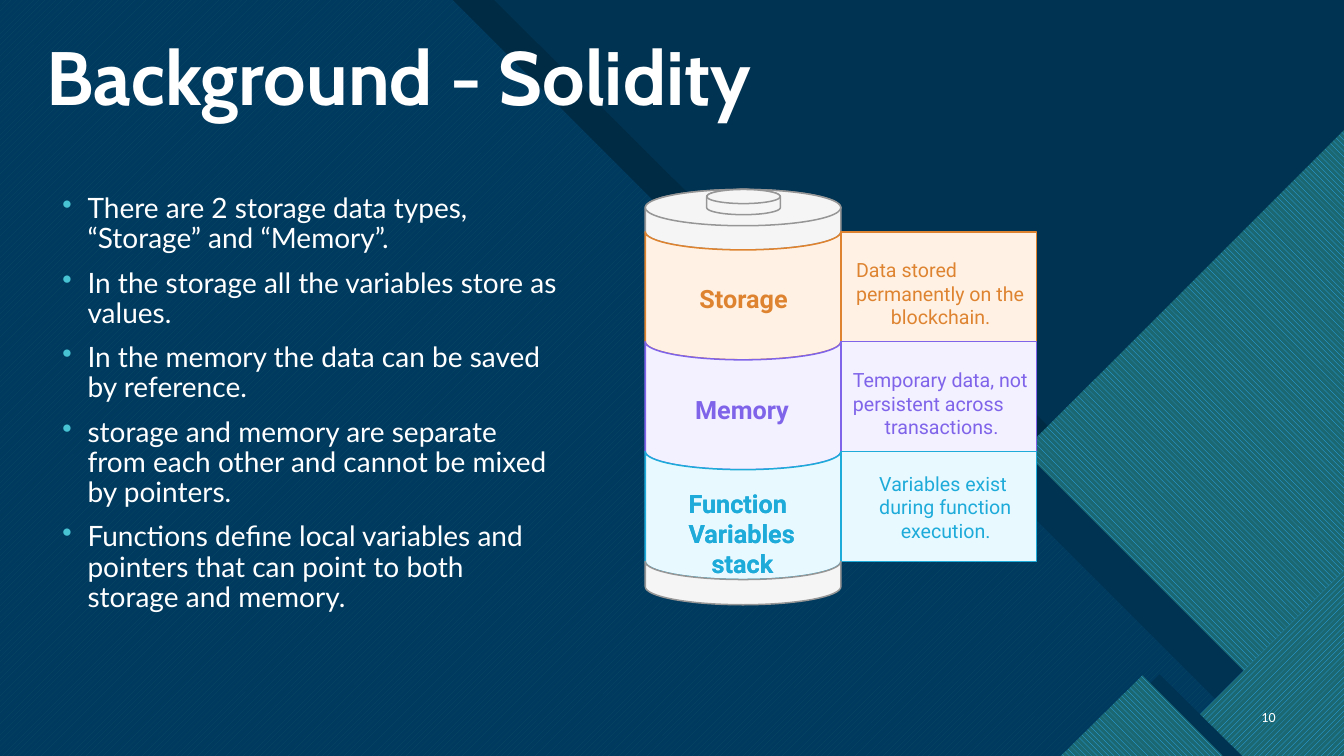
from dataclasses import dataclass
from math import cos, pi, radians, sin

from lxml import etree
from pptx import Presentation
from pptx.dml.color import RGBColor
from pptx.enum.dml import MSO_PATTERN
from pptx.enum.shapes import MSO_SHAPE
from pptx.enum.text import MSO_ANCHOR, PP_ALIGN
from pptx.oxml.ns import qn
from pptx.util import Inches, Pt

RECTANGLE, OVAL = MSO_SHAPE.RECTANGLE, MSO_SHAPE.OVAL
UPWARD = MSO_PATTERN.WIDE_UPWARD_DIAGONAL
DOWNWARD = MSO_PATTERN.WIDE_DOWNWARD_DIAGONAL
TOP, MIDDLE, BOTTOM = MSO_ANCHOR.TOP, MSO_ANCHOR.MIDDLE, MSO_ANCHOR.BOTTOM
LEFT, CENTER, RIGHT = PP_ALIGN.LEFT, PP_ALIGN.CENTER, PP_ALIGN.RIGHT


@dataclass(frozen=True)
class Theme:
    navy: str = "003352"
    black: str = "000000"
    white: str = "FFFFFF"
    aqua: str = "47C3D3"
    blue: str = "0065A4"
    sky: str = "2FAFFF"
    teal: str = "1B6872"
    shell: str = "F5F5F5"
    gray: str = "969696"
    orange: str = "DE8431"
    peach: str = "FFF2E5"
    purple: str = "7F64EA"
    lilac: str = "F3F0FF"
    cyan: str = "1EABDA"
    ice: str = "E8F9FF"
    title = {"name": "Cabin", "size": Pt(54), "bold": True}
    body = {"name": "Lato", "size": Pt(20)}
    number = {"name": "Calibri", "size": Pt(10)}
    label = {"name": "Roboto", "size": Pt(18), "bold": True}
    detail = {"name": "Roboto", "size": Pt(14)}
    line_width = Pt(1.09)


def turn_point(point, degrees):
    x, y = point
    angle = radians(degrees)
    return x * cos(angle) - y * sin(angle), x * sin(angle) + y * cos(angle)


class SlidePainter:
    def __init__(self, page, theme):
        self.page = page
        self.theme = theme

    def background(self, color):
        fill = self.page.background.fill
        fill.solid()
        fill.fore_color.rgb = RGBColor.from_string(color)

    def finish(self, shape, fill, line=None):
        shape.shadow.inherit = False
        shape.fill.solid()
        shape.fill.fore_color.rgb = RGBColor.from_string(fill)
        if line:
            shape.line.color.rgb = RGBColor.from_string(line)
            shape.line.width = self.theme.line_width
        else:
            shape.line.fill.background()
        return shape

    def preset(self, kind, left, top, width, height, fill, line):
        shape = self.page.shapes.add_shape(kind, *map(Inches, (left, top, width, height)))
        return self.finish(shape, fill, line)

    def outline(self, points, fill, line=None, turn=0):
        flat = [turn_point(point, -turn) for point in points]
        middle = [(min(axis) + max(axis)) / 2 for axis in zip(*flat)]
        center = turn_point(middle, turn)
        start, *rest = [(Inches(x - middle[0] + center[0]), Inches(y - middle[1] + center[1]))
                        for x, y in flat]
        builder = self.page.shapes.build_freeform(*start, scale=1.0)
        builder.add_line_segments(rest, close=True)
        shape = self.finish(builder.convert_to_shape(), fill, line)
        shape.rotation = turn
        return shape

    def striped(self, points, pattern, front, back, turn):
        fill = self.outline(points, back, turn=turn).fill
        fill.patterned()
        fill.pattern = pattern
        fill.fore_color.rgb = RGBColor.from_string(front)
        fill.back_color.rgb = RGBColor.from_string(back)

    def veil(self, points, color, percent):
        shape = self.outline(points, color)
        tint = shape.fill._xPr.find(qn("a:solidFill")).find(qn("a:srgbClr"))
        etree.SubElement(tint, qn("a:alpha"), val=str(percent * 1000))

    def barrel(self, left, width, top, bottom, rise, top_bulge, fill, line):
        steps = [pi * step / 32 for step in range(33)]
        radius = width / 2
        upper = [(left + radius - radius * cos(a), top + top_bulge * rise * sin(a)) for a in steps]
        lower = [(left + radius + radius * cos(a), bottom + rise * sin(a)) for a in steps]
        self.outline(upper + lower, fill, line)

    def text(self, left, top, width, height, lines, style, color,
             aligns=(LEFT,), anchor=TOP, spacing=1.0, inset=None, bullet=None):
        box = self.page.shapes.add_textbox(*map(Inches, (left, top, width, height)))
        frame = box.text_frame
        settings = {"word_wrap": True, "vertical_anchor": anchor}
        if inset is not None:
            sides = ("margin_left", "margin_top", "margin_right", "margin_bottom")
            settings.update(dict.fromkeys(sides, Inches(inset)))
        for name, value in settings.items():
            setattr(frame, name, value)
        for index, line in enumerate(lines):
            para = frame.add_paragraph() if index else frame.paragraphs[0]
            if bullet:
                self.add_bullet(para, bullet)
                para.space_before = Pt(10 if index else 0)
            para.alignment = aligns[min(index, len(aligns) - 1)]
            para.line_spacing = spacing
            span = para.add_run()
            span.text = line
            for name, value in style.items():
                setattr(span.font, name, value)
            span.font.color.rgb = RGBColor.from_string(color)

    def add_bullet(self, para, color):
        properties = para._p.get_or_add_pPr()
        properties.set("marL", str(Inches(0.25)))
        properties.set("indent", str(Inches(-0.25)))
        tint = etree.SubElement(properties, qn("a:buClr"))
        etree.SubElement(tint, qn("a:srgbClr"), val=color)
        etree.SubElement(properties, qn("a:buChar"), char="•")

    def stacked_text(self, left, top, width, height, lines, style, color):
        aligns = [LEFT] * (len(lines) - 1) + [CENTER]
        self.text(left, top, width, height, lines, style, color, aligns, inset=0)


def draw_backdrop(painter, theme):
    painter.background(theme.navy)
    painter.outline([(0.42, 0), (4.9, 0), (7.88, 2.97), (9.14, 2.97), (13.33, 7.17),
                     (13.33, 7.5), (0.42, 7.5)], theme.black)
    painter.striped([(0, 0), (4.49, 0), (7.46, 2.97), (8.72, 2.97), (13.25, 7.5), (0, 7.5)],
                    UPWARD, theme.aqua, theme.blue, 270)
    painter.veil([(0, 0), (6.95, 0), (9.92, 2.97), (11.18, 2.97), (13.33, 5.13),
                  (13.33, 7.5), (0, 7.5)], theme.navy, 85)
    corners = [
        ([(13.33, 1.55), (13.33, 7.08), (12.2, 7.08), (10, 4.88)],
         [(13.33, 1.29), (13.33, 7.37), (13.05, 7.37), (10.15, 4.47)], DOWNWARD),
        ([(13.33, 6.14), (13.33, 7.5), (11.97, 7.5)],
         [(13.33, 5.66), (13.33, 7.5), (11.49, 7.5)], UPWARD),
        ([(12.32, 7.5), (11.5, 6.69), (10.69, 7.5)],
         [(10.52, 7.5), (11.33, 6.7), (12.13, 7.5)], DOWNWARD),
    ]
    for shade, face, pattern in corners:
        painter.outline(shade, theme.navy)
        painter.striped(face, pattern, theme.sky, theme.teal, 135)


def draw_battery(painter, theme):
    left, width, rise = 6.4, 1.94, 0.18
    first, step = 2.3, 1.09
    case = (theme.shell, theme.gray)
    painter.barrel(left, width, 2.06, first, rise, -1, *case)
    painter.preset(OVAL, left, 1.88, width, 2 * rise, *case)
    painter.barrel(7.01, 0.73, 1.95, 2.06, 0.07, -1, *case)
    painter.preset(OVAL, 7.01, 1.88, 0.73, 0.14, *case)
    layers = [
        (theme.peach, theme.orange, (6.53, 2.81, 1.69, 0.3), ["Storage"],
         (8.49, 2.56, 1.68, 0.71), ["Data stored", "permanently on the", "blockchain."]),
        (theme.lilac, theme.purple, (6.49, 3.91, 1.74, 0.3), ["Memory"],
         (8.46, 3.65, 1.76, 0.71), ["Temporary data, not", "persistent across", "transactions."]),
        (theme.ice, theme.cyan, (6.83, 4.84, 1.07, 0.91), ["Function", "Variables", "stack"],
         (8.72, 4.68, 1.32, 0.71), ["Variables exist", "during function", "execution."]),
    ]
    for index, (fill, accent, label_area, label, detail_area, detail) in enumerate(layers):
        top = first + index * step
        painter.barrel(left, width, top, top + step, rise, 1, fill, accent)
        painter.preset(RECTANGLE, left + width, top, width, step, fill, accent)
        painter.stacked_text(*label_area, label, theme.label, accent)
        painter.stacked_text(*detail_area, detail, theme.detail, accent)
    base = first + len(layers) * step
    painter.barrel(left, width, base, base + 0.25, rise, 1, *case)
    painter.stacked_text(*label_area, label, theme.label, accent)


def main():
    deck = Presentation()
    deck.slide_width, deck.slide_height = Inches(13.33), Inches(7.5)
    theme = Theme()
    painter = SlidePainter(deck.slides.add_slide(deck.slide_layouts[6]), theme)
    draw_backdrop(painter, theme)
    painter.text(0.36, 0.32, 7.79, 0.94, ["Background - Solidity"], theme.title, theme.white,
                 anchor=BOTTOM, spacing=0.9)
    painter.text(12.31, 6.91, 0.44, 0.4, ["10"], theme.number, theme.white,
                 aligns=(RIGHT,), anchor=MIDDLE)
    facts = [
        "There are 2 storage data types, “Storage” and “Memory”.",
        "In the storage all the variables store as values.",
        "In the memory the data can be saved by reference.",
        "storage and memory are separate from each other and cannot be mixed by pointers.",
        "Functions define local variables and pointers that can point to both storage and memory.",
    ]
    painter.text(0.52, 1.88, 5.14, 4.24, facts, theme.body, theme.white,
                 spacing=0.9, bullet=theme.aqua)
    draw_battery(painter, theme)
    deck.save("out.pptx")


if __name__ == "__main__":
    main()
